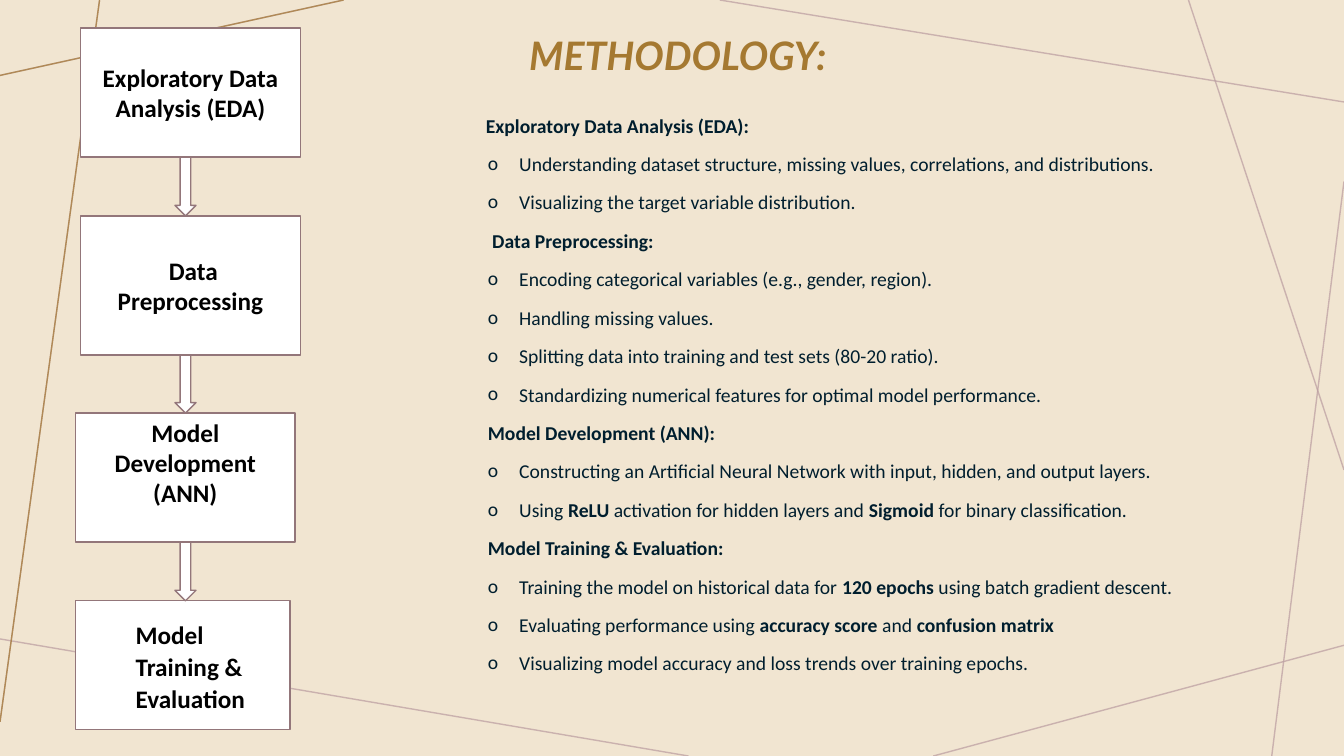
from itertools import pairwise

from pptx import Presentation
from pptx import util as u
from pptx.dml.color import RGBColor
from pptx.enum import shapes, text
from pptx.oxml import parse_xml
from pptx.oxml.ns import nsdecls

WIDE, HIGH = 33.87, 19.05
SAND, GOLD, MAUVE, PLUM = "F1E5D1", "A57931", "BA9CA0", "93767A"
INK, BLACK, WHITE = "001E2E", "000000", "FFFFFF"

RAYS = [
    (8.66, 0, 0, 1.9),
    (2.51, 0, 0, 18.19),
    (17.35, HIGH, 0, 16.1),
    (WIDE, 16.26, 23.52, HIGH),
    (WIDE, 4.57, 32.05, HIGH),
    (WIDE, 11.84, 29.95, 0),
    (WIDE, 2.57, 18.14, 0),
]

# Heading, its left indent in cm, and its points; ** marks bold words
TOPICS = [
    ("Exploratory Data Analysis (EDA):", 1.22, [
        "Understanding dataset structure, missing values, correlations, and distributions.",
        "Visualizing the target variable distribution.",
    ]),
    (" Data Preprocessing:", 1.27, [
        "Encoding categorical variables (e.g., gender, region).",
        "Handling missing values.",
        "Splitting data into training and test sets (80-20 ratio).",
        "Standardizing numerical features for optimal model performance.",
    ]),
    ("Model Development (ANN):", 1.27, [
        "Constructing an Artificial Neural Network with input, hidden, and output layers.",
        "Using **ReLU** activation for hidden layers and **Sigmoid** for binary classification.",
    ]),
    ("Model Training & Evaluation:", 1.27, [
        "Training the model on historical data for **120 epochs** using batch gradient descent.",
        "Evaluating performance using **accuracy score** and **confusion matrix**",
        "Visualizing model accuracy and loss trends over training epochs.",
    ]),
]

STEPS = [
    ("Exploratory Data Analysis (EDA)", (2.03, 0.71, 5.54, 3.25)),
    (" Data Preprocessing", (2.03, 5.44, 5.54, 3.51)),
    ("Model Development (ANN)", (1.9, 10.41, 5.54, 3.25)),
    ("Model Training & Evaluation", (1.9, 15.14, 5.41, 3.25)),
]


def paint(color, code):
    color.rgb = RGBColor.from_string(code)


def dent(para, left, hang=0, mark=None):
    """Set the indents in cm and the bullet; call after the spacing is set."""
    props = para._p.get_or_add_pPr()
    props.set("marL", str(u.Cm(left)))
    props.set("indent", str(u.Cm(-hang)))
    if mark:
        props.append(parse_xml(f'<a:buFont {nsdecls("a")} typeface="Calibri"/>'))
        props.append(parse_xml(f'<a:buChar {nsdecls("a")} char="{mark}"/>'))
    else:
        props.append(parse_xml(f'<a:buNone {nsdecls("a")}/>'))


class Deck:
    font = "Calibri"

    def __init__(self):
        self.show = Presentation()
        self.show.slide_width, self.show.slide_height = u.Cm(WIDE), u.Cm(HIGH)
        self.slide = self.show.slides.add_slide(self.show.slide_layouts[1])
        fill = self.slide.background.fill
        fill.solid()
        paint(fill.fore_color, SAND)

    def place(self, shape, left, top, width, height):
        shape.left, shape.top = u.Cm(left), u.Cm(top)
        shape.width, shape.height = u.Cm(width), u.Cm(height)

    def run(self, para, words, size, color, bold=False, italic=False, font=None):
        run = para.add_run()
        run.text = words
        run.font.name = font or self.font
        run.font.size = u.Pt(size)
        run.font.bold, run.font.italic = bold, italic
        paint(run.font.color, color)

    def ray(self, ends, code):
        line = self.slide.shapes.add_connector(
            shapes.MSO_CONNECTOR.STRAIGHT, *map(u.Cm, ends))
        line.line.width = u.Pt(1)
        paint(line.line.color, code)
        props = line._element.spPr
        tint = props.find(".//{*}srgbClr")
        tint.append(parse_xml(f'<a:alpha {nsdecls("a")} val="70000"/>'))
        props.append(parse_xml(f'<a:effectLst {nsdecls("a")}/>'))

    def title(self, words, box):
        shape = self.slide.shapes.title
        self.place(shape, *box)
        frame = shape.text_frame
        frame.auto_size = text.MSO_AUTO_SIZE.NONE
        frame.vertical_anchor = text.MSO_ANCHOR.BOTTOM
        para = frame.paragraphs[0]
        para.alignment = text.PP_ALIGN.LEFT
        para.line_spacing = 0.9
        self.run(para, words, 28, GOLD, True, True, "Lato")

    def body(self, topics, box):
        shape = self.slide.placeholders[1]
        self.place(shape, *box)
        frame = shape.text_frame
        frame.auto_size = text.MSO_AUTO_SIZE.NONE
        frame.vertical_anchor = text.MSO_ANCHOR.TOP
        rows = []
        for head, left, points in topics:
            rows.append((f"**{head}**", left, 0, None))
            rows += [(point, 2.06, 0.79, "o") for point in points]
        for i, (words, *style) in enumerate(rows):
            para = frame.add_paragraph() if i else frame.paragraphs[0]
            para.level = 1 if i else 0
            para.line_spacing = 0.86
            para.space_before, para.space_after = u.Pt(5 if i else 0), u.Pt(8)
            dent(para, *style)
            for j, part in enumerate(words.split("**")):
                if part:
                    self.run(para, part, 14, INK, bold=j % 2 == 1)

    def form(self, kind, box):
        """Add a white preset shape with a thin plum outline."""
        shape = self.slide.shapes.add_shape(kind, *map(u.Cm, box))
        shape.shadow.inherit = False
        shape.fill.solid()
        paint(shape.fill.fore_color, WHITE)
        shape.line.width = u.Pt(1)
        paint(shape.line.color, PLUM)
        return shape

    def step(self, words, box):
        frame = self.form(shapes.MSO_SHAPE.RECTANGLE, box).text_frame
        frame.word_wrap = True
        frame.vertical_anchor = text.MSO_ANCHOR.MIDDLE
        para = frame.paragraphs[0]
        para.alignment = text.PP_ALIGN.CENTER
        self.run(para, words, 18, BLACK, bold=True)
        return frame

    def arrow(self, top, end):
        self.form(shapes.MSO_SHAPE.DOWN_ARROW, (4.41, top, 0.53, end - top))


def main():
    deck = Deck()
    for ends in RAYS:
        deck.ray(ends, MAUVE)
    for ends in RAYS[:2]:
        deck.ray(ends, GOLD)
    deck.title("METHODOLOGY:", (13.08, -0.46, 15.09, 2.57))
    deck.body(TOPICS, (10.77, 2.82, 23.1, 15.16))

    frames = [deck.step(*step) for step in STEPS]
    frames[2].margin_bottom = u.Cm(0.9)
    last = frames[3].paragraphs[0]
    last.alignment = text.PP_ALIGN.LEFT
    last.line_spacing = 1.07
    dent(last, 1.27)

    for (_, upper), (_, lower) in pairwise(STEPS):
        deck.arrow(upper[1] + upper[3], lower[1])
    deck.show.save("out.pptx")


if __name__ == "__main__":
    main()
